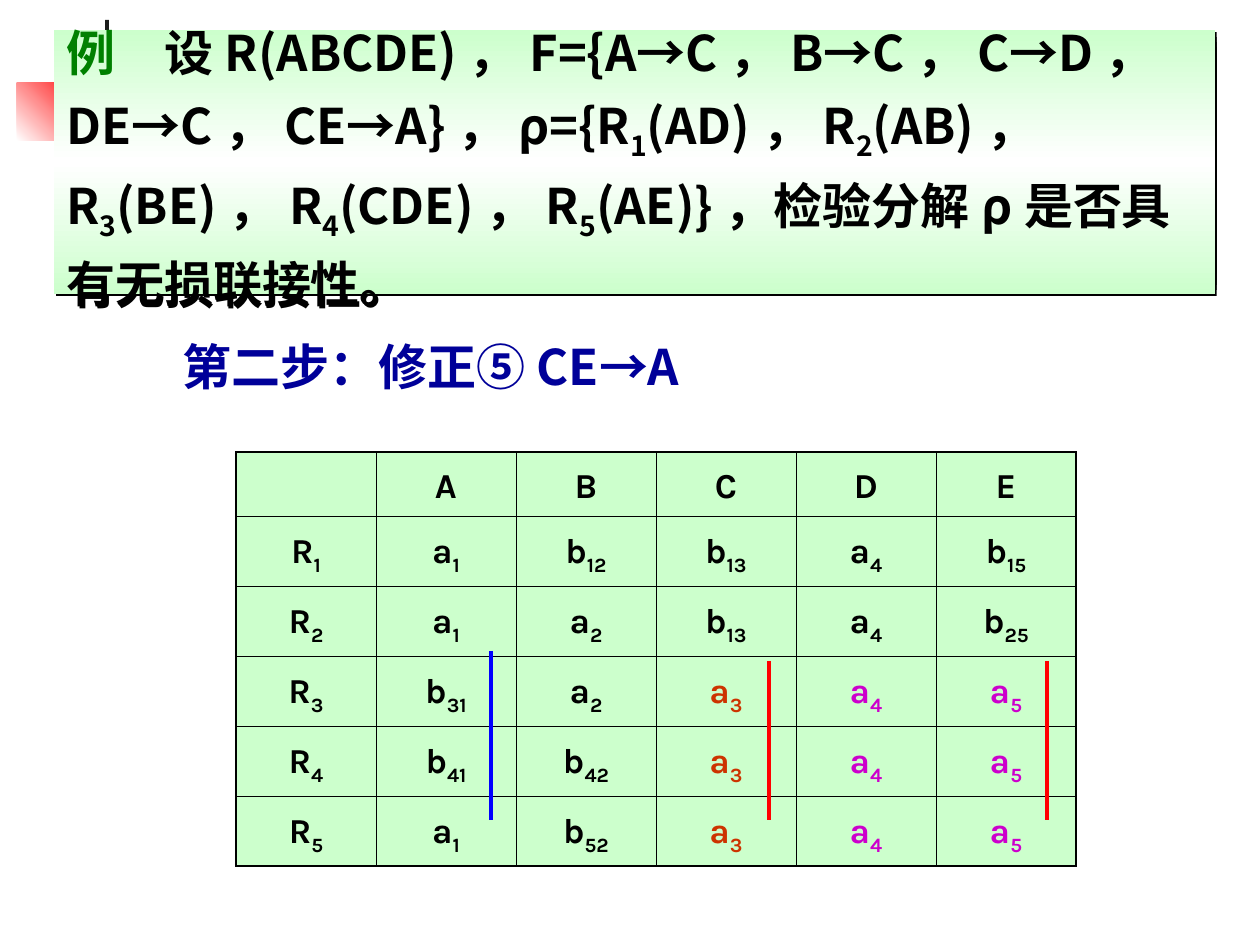
from lxml.etree import SubElement as Sub
from pptx import Presentation
from pptx.dml.color import RGBColor as RGB
from pptx.enum.shapes import MSO_CONNECTOR as Link, MSO_SHAPE as Kind
from pptx.enum.text import MSO_ANCHOR as Anchor, MSO_AUTO_SIZE as Auto, PP_ALIGN as Align
from pptx.oxml.ns import qn
from pptx.util import Emu, Pt

SCALE = 914400 / 126
BLACK = RGB(0, 0, 0)
WHITE = RGB(255, 255, 255)
RED = RGB(255, 0, 0)
BLUE = RGB(0, 0, 255)
NAVY = RGB(0, 0, 0x99)
GREEN = RGB(0, 0x80, 0)
MINT = RGB(0xCC, 0xFF, 0xCC)
RUST = RGB(0xCC, 0x33, 0)
PINK = RGB(0xCC, 0, 0xCC)
CHAR = RGB(0x1C, 0x1C, 0x1C)
HAN, LATIN = "Noto Sans CJK SC", "Karla"
THIN, THICK = Pt(0.45), Pt(1.08)

QUERY = ("设R(ABCDE)，F={A→C，B→C，C→D，DE→C，CE→A}，ρ={R|1|(AD)，R|2|(AB)，"
         "R|3|(BE)，R|4|(CDE)，R|5|(AE)}，检验分解ρ是否具有无损联接性。")
ROWS = [
    ["", "A", "B", "C", "D", "E"],
    ["R|1", "a|1", "b|12", "b|13", "a|4", "b|15"],
    ["R|2", "a|1", "a|2", "b|13", "a|4", "b|25"],
    ["R|3", "b|31", "a|2", "a|3", "a|4", "a|5"],
    ["R|4", "b|41", "b|42", "a|3", "a|4", "a|5"],
    ["R|5", "a|1", "b|52", "a|3", "a|4", "a|5"],
]
TINTS = {3: RUST, 4: PINK, 5: PINK}


def px(n):
    return Emu(round(n * SCALE))


def apply(item, form):
    for key, val in form.items():
        setattr(item, key, val)


def paint(parent, color):
    Sub(Sub(parent, qn("a:solidFill")), qn("a:srgbClr"), val=str(color))


def shade(props, dist):
    """Give the properties a hard black shadow to the lower right."""
    for old in props.findall(qn("a:effectLst")):
        props.remove(old)
    drop = Sub(Sub(props, qn("a:effectLst")), qn("a:outerShdw"),
               dist=str(Pt(dist)), dir="2700000", algn="ctr", rotWithShape="0")
    Sub(drop, qn("a:srgbClr"), val=str(BLACK))


class Deck:
    def __init__(self):
        self.prs = Presentation()
        apply(self.prs, {"slide_width": px(1260), "slide_height": px(945)})
        self.slide = self.prs.slides.add_slide(self.prs.slide_layouts[5])
        self.shapes = self.slide.shapes

    def label(self, para, text, size, face, color, shadow=False):
        """Add runs to a paragraph; every second piece between bars is a subscript."""
        for i, part in enumerate(text.split("|")):
            run = para.add_run()
            run.text = part
            run.font.color.rgb = color
            props = run._r.get_or_add_rPr()
            if i % 2:
                props.set("baseline", "-25000")
            if shadow:
                shade(props, 1.5)
            apply(run.font, {"size": Pt(size), "bold": True, "name": face})
            Sub(props, qn("a:ea"), typeface=face)

    def frame(self, shape, form):
        side, edge = Pt(7.2), Pt(3.6)
        apply(shape.text_frame, {"word_wrap": True, "margin_left": side, "margin_right": side,
                                 "margin_top": edge, "margin_bottom": edge, **form})
        return shape.text_frame.paragraphs[0]

    def title(self, text, x, y, w, h):
        shape = self.shapes.title
        apply(shape, {"left": px(x), "top": px(y), "width": px(w), "height": px(h)})
        para = self.frame(shape, {"vertical_anchor": Anchor.TOP,
                                  "auto_size": Auto.SHAPE_TO_FIT_TEXT})
        para.alignment = Align.LEFT
        self.label(para, text, 28, HAN, NAVY, shadow=True)

    def rect(self, x, y, w, h, colors, angle=0):
        """Draw a borderless box, with evenly spaced gradient stops for several colours."""
        shape = self.shapes.add_shape(Kind.RECTANGLE, px(x), px(y), px(w), px(h))
        shape.shadow.inherit = False
        shape.line.fill.background()
        if len(colors) == 1:
            shape.fill.solid()
            shape.fill.fore_color.rgb = colors[0]
            return shape
        shape.fill.gradient()
        shape.fill.gradient_angle = angle
        stops = next(shape._element.spPr.iter(qn("a:gsLst")))
        for old in list(stops):
            stops.remove(old)
        for i, color in enumerate(colors):
            stop = Sub(stops, qn("a:gs"), pos=str(100000 * i // (len(colors) - 1)))
            Sub(stop, qn("a:srgbClr"), val=str(color))
        return shape

    def panel(self, x, y, w, h, parts):
        shape = self.rect(x, y, w, h, [MINT, WHITE, MINT], 270)
        shade(shape._element.spPr, 1.4)
        para = self.frame(shape, {"vertical_anchor": Anchor.MIDDLE})
        apply(para, {"alignment": Align.LEFT, "line_spacing": 1.2})
        for text, color in parts:
            self.label(para, text, 28, HAN, color)

    def line(self, x, top, end, color):
        link = self.shapes.add_connector(Link.STRAIGHT, px(x), px(top), px(x), px(end))
        link.line.color.rgb = color
        link.line.width = Pt(2.25)
        Sub(link._element.spPr, qn("a:effectLst"))

    def edges(self, cell, sides):
        """Draw the cell's borders, heavy on the outside, and fill it."""
        props = cell._tc.get_or_add_tcPr()
        for tag, outer in sides.items():
            edge = Sub(props, qn("a:" + tag), w=str(THICK if outer else THIN))
            paint(edge, BLACK)
        paint(props, MINT)

    def table(self, x, y, wide, highs, rows):
        last, end = len(rows) - 1, len(rows[0]) - 1
        grid = self.shapes.add_table(last + 1, end + 1, px(x), px(y),
                                     px(wide * (end + 1)), px(sum(highs))).table
        for col in grid.columns:
            col.width = px(wide)
        for r, row in enumerate(rows):
            grid.rows[r].height = px(highs[r])
            for c, text in enumerate(row):
                cell = grid.cell(r, c)
                self.edges(cell, {"lnL": c == 0, "lnR": c == end,
                                  "lnT": r == 0, "lnB": r == last})
                para = cell.text_frame.paragraphs[0]
                apply(para, {"alignment": Align.CENTER, "line_spacing": 1.2})
                if text:
                    tint = TINTS.get(c, BLACK) if r >= 3 else BLACK
                    self.label(para, text, 20, LATIN, tint)


def main():
    deck = Deck()
    deck.rect(17, 83, 77, 58, [WHITE, RED], 45)
    deck.rect(105, 20, 4, 145, [CHAR])
    deck.title("第二步：修正⑤CE→A", 170, 330, 599, 72)
    deck.table(236, 452, 140, [64] + [70] * 5, ROWS)
    for x, top, color in [(769, 661, RED), (491, 651, BLUE), (1047, 661, RED)]:
        deck.line(x, top, 820, color)
    deck.panel(54, 30, 1161, 264, [("例　", GREEN), (QUERY, BLACK)])
    deck.prs.save("out.pptx")


if __name__ == "__main__":
    main()
